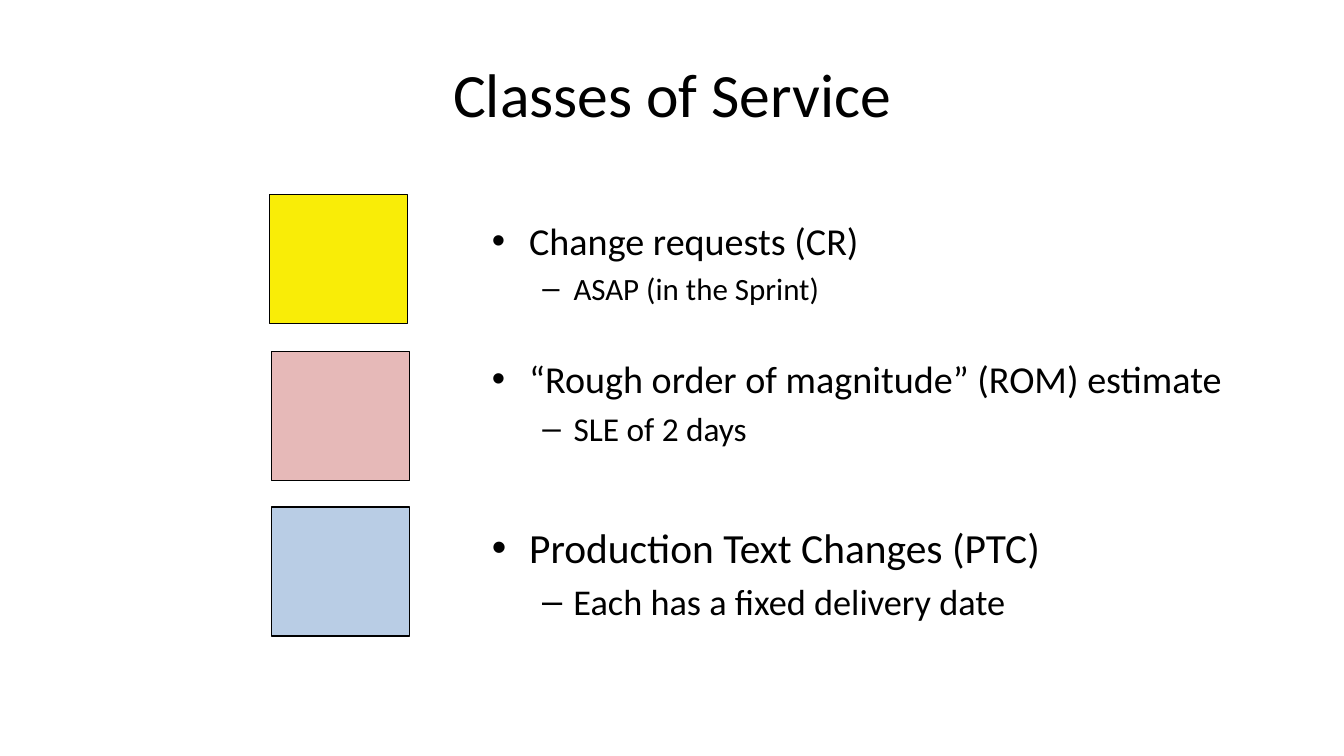
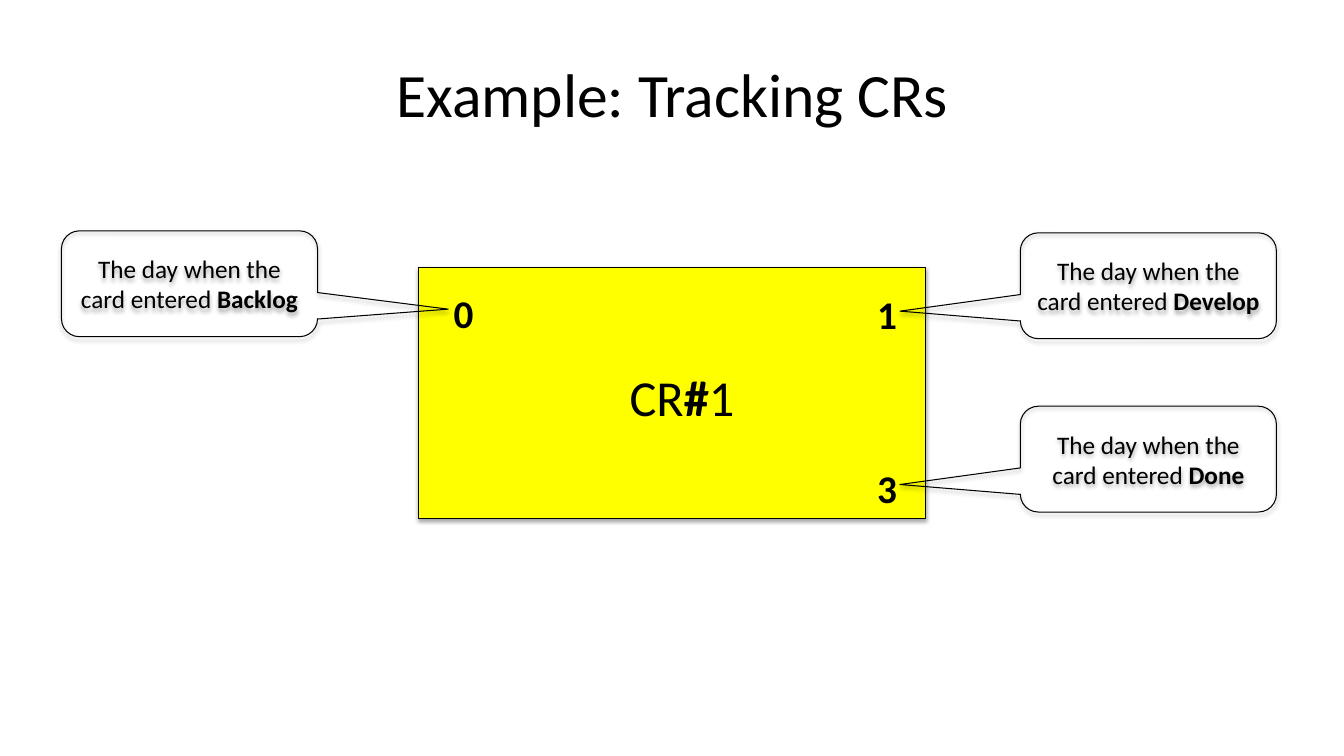
from lxml import etree
from pptx import Presentation
from pptx.dml.color import RGBColor
from pptx.enum.shapes import MSO_SHAPE
from pptx.enum.text import MSO_ANCHOR, PP_ALIGN
from pptx.oxml.ns import qn
from pptx.util import Pt

RECT = MSO_SHAPE.RECTANGLE
BUBBLE = MSO_SHAPE.ROUNDED_RECTANGULAR_CALLOUT
MIDDLE = MSO_ANCHOR.MIDDLE
LEFT = PP_ALIGN.LEFT
CENTER = PP_ALIGN.CENTER

BLACK = RGBColor(0x00, 0x00, 0x00)
GOLD = RGBColor(0xF9, 0xED, 0x07)
ROSE = RGBColor(0xE6, 0xB9, 0xB8)
BLUE = RGBColor(0xB9, 0xCD, 0xE5)
YELLOW = RGBColor(0xFF, 0xFF, 0x00)

SCALE = 9144
FONT = "Calibri"
LEVELS = [("•", 37, 37), ("–", 81, 31)]


def px(*sizes):
    return [size * SCALE for size in sizes]


class Deck:
    def __init__(self):
        self.show = Presentation()
        self.show.slide_width, self.show.slide_height = px(1333, 750)
        self.slide = None

    def style(self, para, size, align=LEFT):
        para.alignment = align
        for run in para.runs:
            run.font.name = FONT
            run.font.size = Pt(size)
            run.font.color.rgb = BLACK

    def page(self, text):
        self.slide = self.show.slides.add_slide(self.show.slide_layouts[5])
        title = self.slide.shapes.title
        title.left, title.top, title.width, title.height = px(67, 30, 1200, 125)
        title.text_frame.text = text
        title.text_frame.vertical_anchor = MIDDLE
        self.style(title.text_frame.paragraphs[0], 44, CENTER)

    def fill(self, para, parts, size, align):
        for text, bold in parts:
            run = para.add_run()
            run.text = text
            run.font.bold = bold
        self.style(para, size, align)

    def text(self, box, parts, size, align=LEFT):
        frame = self.slide.shapes.add_textbox(*px(*box)).text_frame
        frame.word_wrap = True
        self.fill(frame.paragraphs[0], parts, size, align)

    def bullets(self, box, items):
        frame = self.slide.shapes.add_textbox(*px(*box)).text_frame
        frame.word_wrap = True
        for level, (text, size) in enumerate(items):
            para = frame.add_paragraph() if level else frame.paragraphs[0]
            para.text = text
            para.level = level
            mark, left, hang = LEVELS[level]
            props = para._p.get_or_add_pPr()
            props.set("marL", str(left * SCALE))
            props.set("indent", str(-hang * SCALE))
            etree.SubElement(props, qn("a:buFont")).set("typeface", "Arial")
            etree.SubElement(props, qn("a:buChar")).set("char", mark)
            para.space_before = Pt(round(size * 0.2, 1) if level else 0)
            self.style(para, size)

    def shape(self, kind, box, color=None, shade=False):
        shape = self.slide.shapes.add_shape(kind, *px(*box))
        if color is None:
            shape.fill.background()
        else:
            shape.fill.solid()
            shape.fill.fore_color.rgb = color
        shape.line.color.rgb = BLACK
        shape.line.width = Pt(0.75)
        shape.shadow.inherit = False
        if shade:
            self.shade(shape)
        return shape

    def shade(self, shape):
        effects = shape._element.spPr.find(qn("a:effectLst"))
        outer = etree.SubElement(
            effects, qn("a:outerShdw"), blurRad=str(Pt(3.1)),
            dist=str(Pt(1.8)), dir="5400000", rotWithShape="0")
        tint = etree.SubElement(outer, qn("a:srgbClr"), val=str(BLACK))
        etree.SubElement(tint, qn("a:alpha"), val="35000")

    def callout(self, left, top, tip, stage):
        shape = self.shape(BUBBLE, (left, top, 254, 105), shade=True)
        for index, value in enumerate((tip, 0.24, 0.17)):
            shape.adjustments[index] = value
        frame = shape.text_frame
        frame.word_wrap = True
        frame.vertical_anchor = MIDDLE
        parts = [("The day when the card entered ", False), (stage, True)]
        self.fill(frame.paragraphs[0], parts, 18, CENTER)


def classes(deck):
    deck.page("Classes of Service")
    rows = [
        (267, 193, GOLD, (478, 211, 589, 93),
         [("Change requests (CR)", 27.2), ("ASAP (in the Sprint)", 22.1)]),
        (269, 349, ROSE, (478, 348, 751, 127),
         [("“Rough order of magnitude” (ROM) estimate", 27.2),
          ("SLE of 2 days", 23.8)]),
        (269, 503, BLUE, (478, 513, 667, 106),
         [("Production Text Changes (PTC)", 29.6),
          ("Each has a fixed delivery date", 25.9)]),
    ]
    for left, top, color, box, items in rows:
        deck.shape(RECT, (left, top, 137, 128), color)
        deck.bullets(box, items)


def tracking(deck):
    deck.page("Example: Tracking CRs")
    deck.shape(RECT, (415, 265, 503, 249), YELLOW, shade=True)
    name = [("CR", False), ("#", True), ("1", False)]
    deck.text((601, 358, 151, 71), name, 36, CENTER)
    for left, top, day in [(440, 282, "0"), (860, 283, "1"), (860, 456, "3")]:
        deck.text((left, top, 39, 57), [(day, True)], 28)
    deck.callout(61, 229, 1.01, "Backlog")
    for top, stage in [(231, "Develop"), (403, "Done")]:
        deck.callout(1012, top, -0.97, stage)


def main():
    deck = Deck()
    classes(deck)
    tracking(deck)
    deck.show.save("out.pptx")


if __name__ == "__main__":
    main()
